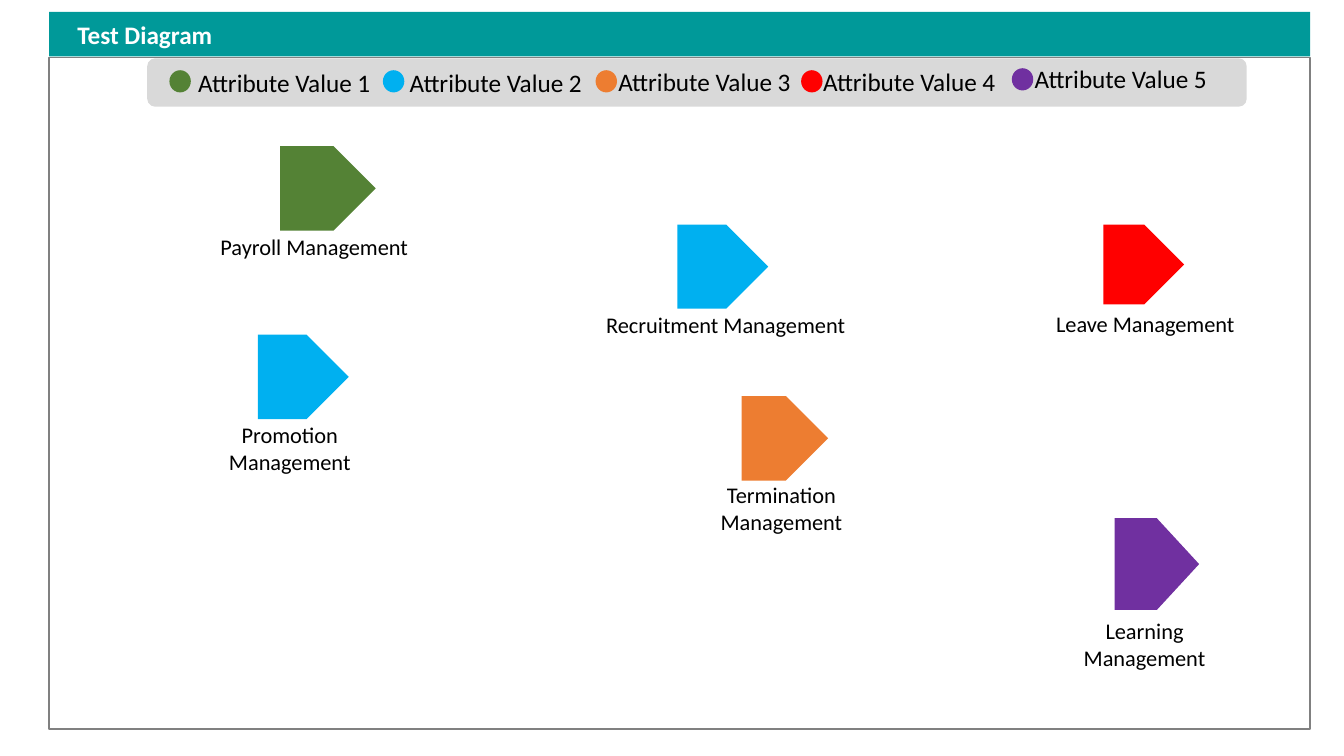
from dataclasses import dataclass

from pptx import Presentation
from pptx.dml.color import RGBColor
from pptx.enum.shapes import MSO_SHAPE
from pptx.enum.text import MSO_AUTO_SIZE, PP_ALIGN
from pptx.util import Cm, Pt


@dataclass(frozen=True)
class Theme:
    font: str = "Calibri"
    heading_size: int = 18
    label_size: int = 16
    header: str = "009999"
    bar: str = "D9D9D9"
    border: str = "808080"
    text: str = "000000"
    heading_text: str = "FFFFFF"
    green: str = "548235"
    blue: str = "00B0F0"
    orange: str = "ED7D31"
    red: str = "FF0000"
    purple: str = "7030A0"


THEME = Theme()

# Boxes are left, top, width, height in centimetres
HEADER_BOX = (1.24, 0.3, 31.78, 1.12)
FRAME_BOX = (1.24, 1.45, 31.78, 16.92)
LEGEND_BOX = (3.71, 1.47, 27.71, 1.22)

# Caption, colour, dot offset in the bar, caption offset in the bar
LEGEND = [
    ("Attribute Value 1", THEME.green, (0.56, 0.3), (0.99, 0.1)),
    ("Attribute Value 2", THEME.blue, (5.94, 0.3), (6.32, 0.1)),
    ("Attribute Value 3", THEME.orange, (11.3, 0.3), (11.58, 0.08)),
    ("Attribute Value 4", THEME.red, (16.48, 0.3), (16.74, 0.08)),
    ("Attribute Value 5", THEME.purple, (21.79, 0.25), (22.07, 0)),
]

# Name, colour, arrow box, label offset from the arrow, label width, wrapping
PROCESSES = [
    ("Payroll Management", THEME.green, (7.06, 3.68, 2.41, 2.13), (-1.78, 2.06), 5.28, False),
    ("Recruitment Management", THEME.blue, (17.07, 5.66, 2.29, 2.12), (-2.08, 2.06), 6.6, False),
    ("Termination Management", THEME.orange, (18.69, 9.98, 2.18, 2.13), (-1.75, 2.03), 5.51, True),
    ("Leave Management", THEME.red, (27.81, 5.66, 2.03, 2.01), (-1.7, 2.04), 5.51, True),
    ("Promotion Management", THEME.blue, (6.5, 8.43, 2.29, 2.13), (-1.95, 2.06), 5.51, True),
    ("Learning Management", THEME.purple, (28.09, 13.06, 2.13, 2.31), (-2, 2.36), 5.51, True),
]


def add_block(shapes, preset, box, fill=None, border=None):
    block = shapes.add_shape(preset, *map(Cm, box))
    block.shadow.inherit = False
    if fill:
        block.fill.solid()
        block.fill.fore_color.rgb = RGBColor.from_string(fill)
    else:
        block.fill.background()
    if border:
        block.line.color.rgb = RGBColor.from_string(border)
        block.line.width = Pt(1)
    else:
        block.line.fill.background()


def add_caption(shapes, words, box, size, color=THEME.text, wrap=True,
                align=PP_ALIGN.CENTER, bold=False):
    frame = shapes.add_textbox(*map(Cm, box)).text_frame
    frame.word_wrap = wrap
    frame.auto_size = MSO_AUTO_SIZE.SHAPE_TO_FIT_TEXT
    paragraph = frame.paragraphs[0]
    paragraph.alignment = align
    run = paragraph.add_run()
    run.text = words
    font_format = {"name": THEME.font, "size": Pt(size), "bold": bold}
    for attribute, value in font_format.items():
        setattr(run.font, attribute, value)
    run.font.color.rgb = RGBColor.from_string(color)


def add_header(shapes, box):
    left, top, _, _ = box
    add_block(shapes, MSO_SHAPE.RECTANGLE, box, THEME.header)
    add_caption(shapes, "Test Diagram", (left + 0.46, top + 0.05, 6.55, 1.02),
                THEME.heading_size, THEME.heading_text,
                align=PP_ALIGN.LEFT, bold=True)


def add_legend(shapes, box):
    left, top, _, _ = box
    add_block(shapes, MSO_SHAPE.ROUNDED_RECTANGLE, box, THEME.bar)
    for words, color, (dot_x, dot_y), (words_x, words_y) in LEGEND:
        entry = shapes.add_group_shape().shapes
        add_caption(entry, words, (left + words_x, top + words_y, 4.93, 1.02),
                    THEME.heading_size, wrap=False)
        add_block(entry, MSO_SHAPE.FLOWCHART_CONNECTOR,
                  (left + dot_x, top + dot_y, 0.54, 0.56), color)


def add_process(shapes, box, name, color, offset, label_width, wrap):
    left, top, _, _ = box
    label_x, label_y = offset
    label_height = 1.63 if wrap and name != "Leave Management" else 0.94
    add_block(shapes, MSO_SHAPE.PENTAGON, box, color)
    add_caption(shapes, name,
                (left + label_x, top + label_y, label_width, label_height),
                THEME.label_size, wrap=wrap)


def main():
    deck = Presentation()
    deck.slide_width, deck.slide_height = Cm(33.87), Cm(19.05)
    shapes = deck.slides.add_slide(deck.slide_layouts[6]).shapes

    # Frame, header and legend
    add_block(shapes, MSO_SHAPE.RECTANGLE, FRAME_BOX, border=THEME.border)
    add_legend(shapes, LEGEND_BOX)
    add_header(shapes, HEADER_BOX)

    # Processes, coloured by attribute value
    for name, color, box, offset, label_width, wrap in PROCESSES:
        add_process(shapes, box, name, color, offset, label_width, wrap)

    deck.save("out.pptx")


if __name__ == "__main__":
    main()
